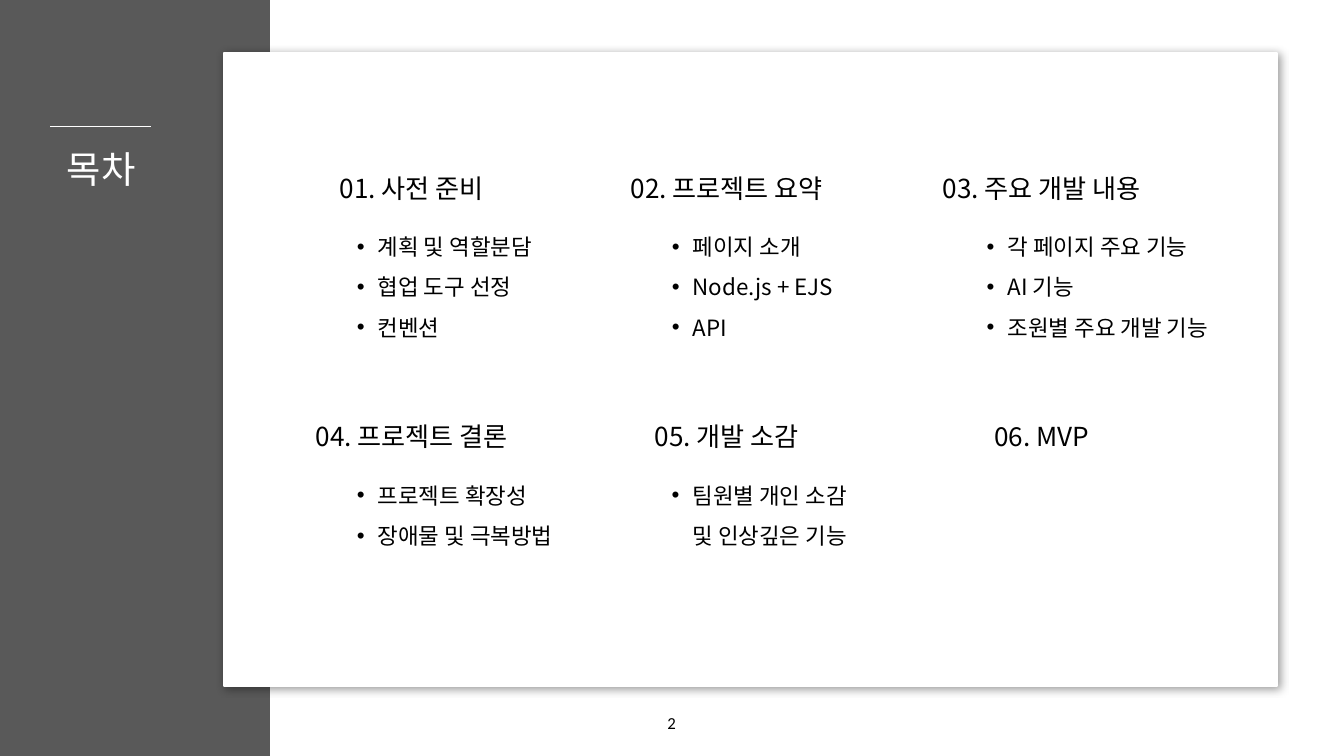
from lxml import etree
from pptx import Presentation
from pptx.dml.color import RGBColor
from pptx.enum.shapes import MSO_CONNECTOR, MSO_SHAPE
from pptx.enum.text import MSO_ANCHOR, MSO_AUTO_SIZE, PP_ALIGN
from pptx.oxml.ns import qn
from pptx.util import Inches, Pt

RECT = MSO_SHAPE.RECTANGLE
LINE = MSO_CONNECTOR.STRAIGHT
TOP = MSO_ANCHOR.TOP
FIXED = MSO_AUTO_SIZE.NONE
LEFT, CENTER = PP_ALIGN.LEFT, PP_ALIGN.CENTER

KOREAN = "Noto Sans CJK KR"
GRAY, WHITE, BLACK = "595959", "FFFFFF", "000000"

TOPICS = [
    ("01. 사전 준비", ["계획 및 역할분담", "협업 도구 선정", "컨벤션"]),
    ("02. 프로젝트 요약", ["페이지 소개", "Node.js + EJS", "API"]),
    ("03. 주요 개발 내용", ["각 페이지 주요 기능", "AI 기능", "조원별 주요 개발 기능"]),
    ("04. 프로젝트 결론", ["프로젝트 확장성", "장애물 및 극복방법"]),
    ("05. 개발 소감", ["팀원별 개인 소감\v및 인상깊은 기능"]),
    ("06. MVP", []),
]


def color(code):
    return RGBColor.from_string(code)


def add(parent, tag, **attrs):
    node = etree.SubElement(parent, qn(tag))
    for key, value in attrs.items():
        node.set(key, str(value))
    return node


def write(slide, box, lines, holder=None, size=24, font=KOREAN, tint=BLACK,
          align=LEFT, bullet=False, gap=1.0):
    """Write lines into a placeholder, or into a new text box."""
    x, y, w, h = map(Inches, box)
    if holder is None:
        holder = slide.shapes.add_textbox(x, y, w, h)
    else:
        holder.left, holder.top, holder.width, holder.height = x, y, w, h
        slide.shapes._spTree.append(holder._element)  # bring to front
    frame = holder.text_frame
    frame.word_wrap = True
    frame.auto_size = FIXED
    frame.vertical_anchor = TOP
    frame.margin_left = frame.margin_right = Inches(0.1)
    frame.margin_top = frame.margin_bottom = Inches(0.05)
    for i, line in enumerate(lines):
        para = frame.add_paragraph() if i else frame.paragraphs[0]
        para.text = line
        props = para._p.get_or_add_pPr()
        if bullet:
            props.set("marL", str(Inches(0.31)))
            props.set("indent", str(-Inches(0.31)))
            add(props, "a:buFont", typeface="Arial")
            add(props, "a:buChar", char="•")
        para.alignment = align
        para.line_spacing = gap
        para.space_before = para.space_after = Pt(0)
        for run in para.runs:
            run.font.size = Pt(size)
            run.font.name = font
            run.font.bold = False
            run.font.color.rgb = color(tint)
            add(run._r.get_or_add_rPr(), "a:ea", typeface=font)


def add_rect(slide, box, tint):
    shape = slide.shapes.add_shape(RECT, *map(Inches, box))
    shape.shadow.inherit = False
    shape.fill.solid()
    shape.fill.fore_color.rgb = color(tint)
    shape.line.color.rgb = color(tint)
    shape.line.width = Pt(2)
    return shape


def draw_side(slide, box):
    """Dark band behind the card."""
    add_rect(slide, box, GRAY)


def draw_card(slide, box):
    """White card with a soft shadow."""
    card = add_rect(slide, box, WHITE)
    effects = card._element.spPr.find(qn("a:effectLst"))
    shadow = add(effects, "a:outerShdw", blurRad=Pt(9), dist=Pt(3),
                 dir=45 * 60000, algn="tl", rotWithShape=0)
    add(add(shadow, "a:srgbClr", val=BLACK), "a:alpha", val=40000)


def draw_title(slide, box):
    """Slide title under a short rule."""
    x, y, w, h = box
    rule = slide.shapes.add_connector(
        LINE, *map(Inches, (x + 0.33, y - 0.24, x + w - 0.34, y - 0.24)))
    rule.line.color.rgb = color(WHITE)
    rule.line.width = Pt(1)
    add(rule._element.spPr, "a:effectLst")
    write(slide, box, ["목차"], slide.shapes.title, size=40, tint=WHITE,
          align=CENTER)


def draw_topic(slide, box, head, items, holder):
    """Numbered heading with its bullet list."""
    x, y, w, h = box
    write(slide, (x, y, w, 0.57), [head], size=28, align=CENTER)
    if items:
        write(slide, (x + 1, y + 0.71, w, h - 0.71), items, holder,
              bullet=True, gap=1.5)


def draw_grid(slide, box, cols=3):
    """Topics in rows of three."""
    x, y, w, h = box
    wide, high = w / cols, h / 2
    bodies = [p for p in slide.placeholders if p.placeholder_format.idx in range(1, 5)]
    for i, (head, items) in enumerate(TOPICS):
        row, col = divmod(i, cols)
        holder = bodies.pop(0) if items and bodies else None
        cell = (x + col * wide, y + row * high, 3.83, 2.56)
        draw_topic(slide, cell, head, items, holder)


def main():
    deck = Presentation()
    deck.slide_width, deck.slide_height = Inches(20), Inches(11.25)
    slide = deck.slides.add_slide(deck.slide_layouts[4])
    draw_side(slide, (0, 0, 4, 11.25))
    draw_card(slide, (3.33, 0.79, 15.67, 9.42))
    draw_title(slide, (0.42, 2.12, 2.17, 0.77))
    draw_grid(slide, (4.21, 2.51, 14.06, 7.4))
    # Page number
    write(slide, (8.83, 10.55, 2.33, 0.4), ["2"], size=18, font="Calibri",
          align=CENTER)
    deck.save("out.pptx")


if __name__ == "__main__":
    main()
